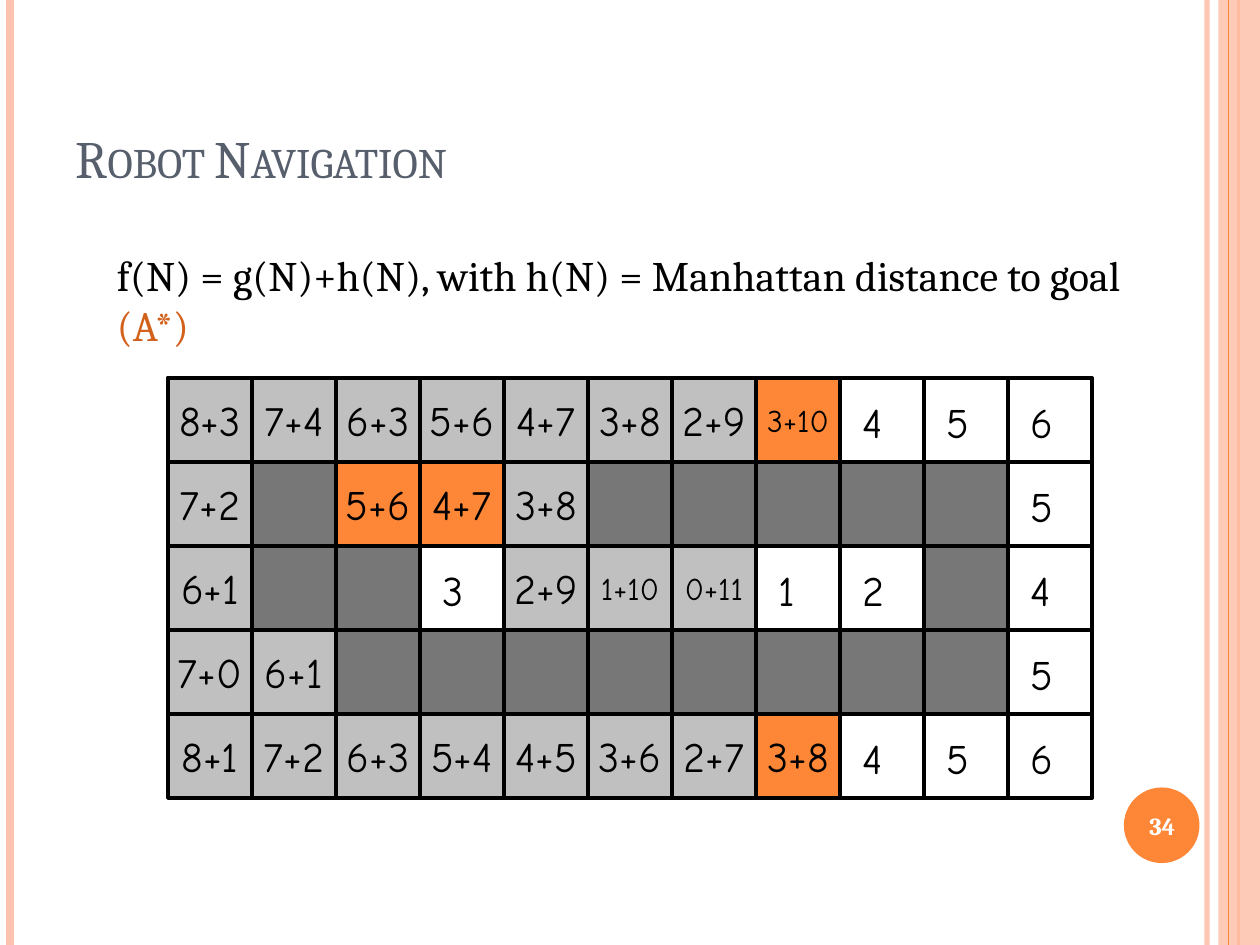
from lxml import etree
from pptx import Presentation
from pptx.dml.color import RGBColor
from pptx.enum import shapes, text
from pptx.oxml import ns
from pptx.util import Inches, Pt

BLACK = RGBColor(0x00, 0x00, 0x00)
WHITE = RGBColor(0xFF, 0xFF, 0xFF)
ORANGE = RGBColor(0xFE, 0x86, 0x37)
PEACH = RGBColor(0xFE, 0xC3, 0xAE)
RUST = RGBColor(0xD2, 0x61, 0x1C)
SLATE = RGBColor(0x57, 0x5F, 0x6D)
WALL_GRAY = RGBColor(0x77, 0x77, 0x77)
VISITED_GRAY = RGBColor(0xC0, 0xC0, 0xC0)
SERIF, HAND = "Cambria", "Comic Neue"

# Content: "#" is a wall, "g+h" a visited cell, "!" marks an orange cell,
# and a bare number is the distance of an unvisited cell
TITLE = "Robot Navigation"
FORMULA = [("f(N) = g(N)+h(N), with h(N) = Manhattan distance to goal ", BLACK),
           ("(A*)", RUST)]
PAGE_NUMBER = "34"
MAZE = [
    "8+3 7+4 6+3 5+6 4+7 3+8 2+9 !3+10 4 5 6",
    "7+2 # !5+6 !4+7 3+8 # # # # # 5",
    "6+1 # # 3 2+9 1+10 0+11 1 2 # 4",
    "7+0 6+1 # # # # # # # # 5",
    "8+1 7+2 6+3 5+4 4+5 3+6 2+7 !3+8 4 5 6",
]
MAZE_LEFT, MAZE_TOP, CELL = 4 / 3, 3, 2 / 3
# x, colour, width in points, opacity in percent
STRIPES_BEHIND = [(9.58, PEACH, 3, 93), (0.08, PEACH, 4.5, 100), (9.83, ORANGE, 1.5, 100)]
STRIPES_FRONT = [(9.75, ORANGE, 0.75, 100)]

presentation = Presentation()
presentation.slide_width, presentation.slide_height = Inches(10), Inches(7.5)
slide = presentation.slides.add_slide(presentation.slide_layouts[5])


def set_opacity(fill, percent):
    color = fill._xPr.find(ns.qn("a:solidFill"))[0]
    etree.SubElement(color, ns.qn("a:alpha"), val=str(percent * 1000))


def add_line(x1, y1, x2, y2, color, width, opacity=100):
    line = slide.shapes.add_connector(
        shapes.MSO_CONNECTOR.STRAIGHT, Inches(x1), Inches(y1), Inches(x2), Inches(y2))
    line.line.color.rgb = color
    line.line.width = Pt(width)
    if opacity < 100:
        set_opacity(line.line.fill, opacity)
    etree.SubElement(line._element.spPr, ns.qn("a:effectLst"))


def add_stripes(stripes):
    for x, *style in stripes:
        add_line(x, 0, x, 7.5, *style)


def add_box(kind, left, top, width, height, fill=None, outlined=False):
    box = slide.shapes.add_shape(
        kind, Inches(left), Inches(top), Inches(width), Inches(height))
    box.shadow.inherit = False
    if fill is None:
        box.fill.background()
    else:
        box.fill.solid()
        box.fill.fore_color.rgb = fill
    if outlined:
        box.line.color.rgb = BLACK
        box.line.width = Pt(2.25)
    else:
        box.line.fill.background()
    return box


def add_text_box(left, top, width, height):
    return slide.shapes.add_textbox(
        Inches(left), Inches(top), Inches(width), Inches(height))


def write(shape, words, size, font, color, align, anchor, wrap=False, bold=False):
    frame = shape.text_frame
    frame.word_wrap = wrap
    frame.vertical_anchor = anchor
    paragraph = frame.paragraphs[0]
    paragraph.text = words
    paragraph.alignment = align
    paragraph.font.name = font
    paragraph.font.size = Pt(size)
    paragraph.font.bold = bold
    paragraph.font.color.rgb = color


LEFT, CENTER = text.PP_ALIGN.LEFT, text.PP_ALIGN.CENTER
TOP, MIDDLE, BOTTOM = text.MSO_ANCHOR.TOP, text.MSO_ANCHOR.MIDDLE, text.MSO_ANCHOR.BOTTOM
RECTANGLE, OVAL = shapes.MSO_SHAPE.RECTANGLE, shapes.MSO_SHAPE.OVAL

# Side stripes and page number
add_stripes(STRIPES_BEHIND)
band = add_box(RECTANGLE, 9.67, 0, 0.33, 7.5, PEACH)
set_opacity(band.fill, 87)
add_stripes(STRIPES_FRONT)
add_box(OVAL, 8.92, 6.25, 0.6, 0.6, ORANGE)
write(add_text_box(8.89, 6.27, 0.67, 0.57), PAGE_NUMBER, 14, SERIF, WHITE,
      CENTER, MIDDLE, wrap=True, bold=True)

# Title in small caps
title = slide.shapes.title
title.left, title.top = Inches(0.5), Inches(0.3)
title.width, title.height = Inches(8.17), Inches(1.25)
write(title, TITLE, 30, SERIF, SLATE, LEFT, BOTTOM, wrap=True)
title.text_frame.paragraphs[0].runs[0].font._element.set("cap", "small")

# Evaluation function
formula = add_text_box(0.83, 1.93, 8.42, 0.91)
formula.text_frame.word_wrap = True
paragraph = formula.text_frame.paragraphs[0]
paragraph.font.name = SERIF
paragraph.font.size = Pt(24)
for words, color in FORMULA:
    run = paragraph.add_run()
    run.text = words
    run.font.color.rgb = color

# Maze frame and grid lines
rows = [row.split() for row in MAZE]
maze_width, maze_height = len(rows[0]) * CELL, len(rows) * CELL
add_box(RECTANGLE, MAZE_LEFT, MAZE_TOP, maze_width, maze_height, outlined=True)
for column in range(1, len(rows[0])):
    x = MAZE_LEFT + column * CELL
    add_line(x, MAZE_TOP, x, MAZE_TOP + maze_height, BLACK, 2.25)
for row in range(1, len(rows)):
    y = MAZE_TOP + row * CELL
    add_line(MAZE_LEFT, y, MAZE_LEFT + maze_width, y, BLACK, 2.25)

# Maze cells
for row, codes in enumerate(rows):
    for column, code in enumerate(codes):
        x, y = MAZE_LEFT + column * CELL, MAZE_TOP + row * CELL
        label = code.lstrip("!")
        if code == "#":
            add_box(RECTANGLE, x, y, CELL, CELL, WALL_GRAY, outlined=True)
        elif "+" in code:
            fill = ORANGE if code.startswith("!") else VISITED_GRAY
            cell = add_box(RECTANGLE, x, y, CELL, CELL, fill, outlined=True)
            size = 18 if len(label) > 3 else 24
            write(cell, label, size, HAND, BLACK, CENTER, MIDDLE)
        else:
            width = 0.35 if label == "1" else 0.4
            number = add_text_box(x + 0.08, y + 0.1, width, 0.5)
            write(number, label, 24, HAND, BLACK, LEFT, TOP)

presentation.save("out.pptx")
